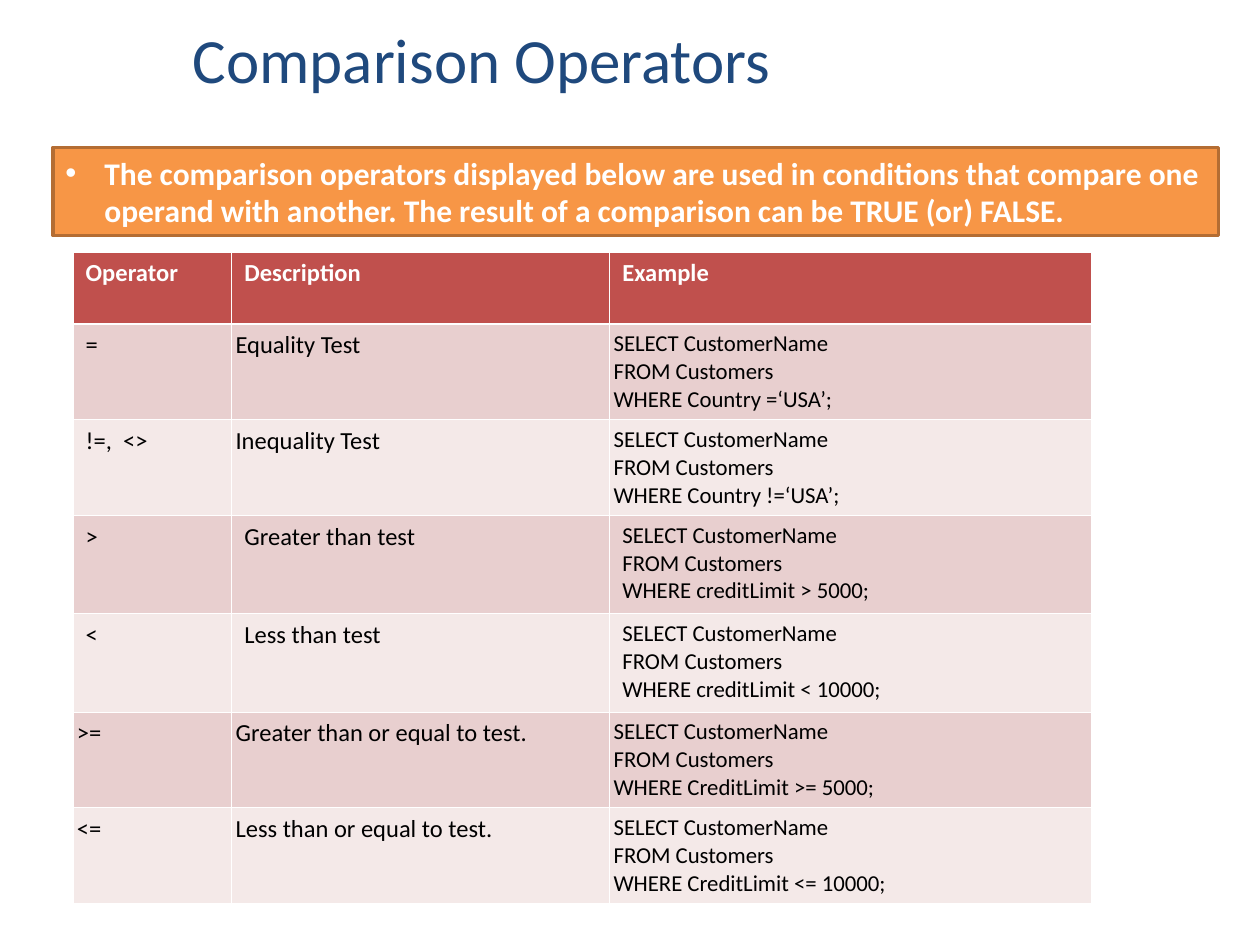
from lxml import etree
from pptx import Presentation
from pptx.dml.color import RGBColor
from pptx.enum.shapes import MSO_SHAPE
from pptx.enum.text import MSO_ANCHOR, PP_ALIGN
from pptx.oxml.ns import qn
from pptx.util import Inches, Pt

RECT = MSO_SHAPE.RECTANGLE
MIDDLE, TOP = MSO_ANCHOR.MIDDLE, MSO_ANCHOR.TOP
LEFT = PP_ALIGN.LEFT
FONT = "Calibri"
TITLE_ONLY = 5

NAVY = RGBColor(0x1F, 0x49, 0x7D)
ORANGE = RGBColor(0xF7, 0x96, 0x46)
BROWN = RGBColor(0xB4, 0x6D, 0x33)
RED = RGBColor(0xC0, 0x50, 0x4D)
ROSE = RGBColor(0xE8, 0xCF, 0xCF)
BLUSH = RGBColor(0xF4, 0xE9, 0xE8)
WHITE = RGBColor(0xFF, 0xFF, 0xFF)
BLACK = RGBColor(0, 0, 0)

WIDE, NARROW = Inches(0.1), Inches(0.03)
THIN, THICK = Pt(0.45), Pt(1.47)
COL_WIDTHS = (1.26, 3, 3.82)
ROW_HEIGHTS = (0.57, 0.74, 0.75, 0.78, 0.78, 0.75, 0.74)
HEADERS = ("Operator", "Description", "Example")
OPERATORS = (
    ("=", "Equality Test", "Country =‘USA’", WIDE, NARROW),
    ("!=,  <>", "Inequality Test", "Country !=‘USA’", WIDE, NARROW),
    (">", "Greater than test", "creditLimit > 5000", WIDE, WIDE),
    ("<", "Less than test", "creditLimit < 10000", WIDE, WIDE),
    (">=", "Greater than or equal to test.", "CreditLimit >= 5000", NARROW, NARROW),
    ("<=", "Less than or equal to test.", "CreditLimit <= 10000", NARROW, NARROW),
)


def add_run(p, text, size, color, bold=False):
    p.alignment = LEFT
    r = p.add_run()
    r.text = text
    r.font.name = FONT
    r.font.size = Pt(size)
    r.font.bold = bold
    r.font.color.rgb = color


def add_bullet(p, char, indent):
    pPr = p._p.get_or_add_pPr()
    pPr.set("marL", str(indent))
    pPr.set("indent", str(-indent))
    etree.SubElement(pPr, qn("a:buFont"), typeface="Arial")
    etree.SubElement(pPr, qn("a:buChar"), char=char)


def set_borders(cell, top, bottom):
    tcPr = cell._tc.get_or_add_tcPr()
    for side, width in (("L", THIN), ("R", THIN), ("T", top), ("B", bottom)):
        ln = etree.SubElement(tcPr, qn("a:ln" + side), w=str(width))
        fill = etree.SubElement(ln, qn("a:solidFill"))
        etree.SubElement(fill, qn("a:srgbClr"), val=str(WHITE))


def fill_cell(cell, lines, size, color, bold, fill, pad, top=THIN, bottom=THIN):
    set_borders(cell, top, bottom)
    cell.fill.solid()
    cell.fill.fore_color.rgb = fill
    cell.margin_left = cell.margin_right = pad
    cell.margin_top = cell.margin_bottom = Inches(0.05)
    cell.vertical_anchor = TOP
    tf = cell.text_frame
    for i, line in enumerate(lines):
        p = tf.add_paragraph() if i else tf.paragraphs[0]
        add_run(p, line, size, color, bold)


def place_title(s, left, top, width, height):
    sp = s.shapes.title
    sp.left, sp.top, sp.width, sp.height = left, top, width, height
    tf = sp.text_frame
    tf.vertical_anchor = MIDDLE
    add_run(tf.paragraphs[0], "Comparison Operators", 36, NAVY)


def place_banner(s, left, top, width, height):
    sp = s.shapes.add_shape(RECT, left, top, width, height)
    sp.shadow.inherit = False
    sp.fill.solid()
    sp.fill.fore_color.rgb = ORANGE
    sp.line.color.rgb = BROWN
    sp.line.width = Pt(2)
    tf = sp.text_frame
    tf.word_wrap = True
    tf.vertical_anchor = TOP
    p = tf.paragraphs[0]
    add_bullet(p, "•", Inches(0.31))
    add_run(p, "The comparison operators displayed below are used in conditions "
            "that compare one operand with another. The result of a comparison "
            "can be TRUE (or) FALSE.", 18, WHITE, True)


def place_operator_table(s, left, top, width, height):
    table = s.shapes.add_table(len(ROW_HEIGHTS), len(COL_WIDTHS),
                               left, top, width, height).table
    for col, w in zip(table.columns, COL_WIDTHS):
        col.width = Inches(w)
    for row, h in zip(table.rows, ROW_HEIGHTS):
        row.height = Inches(h)
    for c, header in enumerate(HEADERS):
        fill_cell(table.cell(0, c), [header], 14, WHITE, True, RED, WIDE,
                  bottom=THICK)
    for r, (operator, description, condition, op_pad, pad) in enumerate(OPERATORS, 1):
        query = ["SELECT CustomerName", "FROM Customers", f"WHERE {condition};"]
        cells = (([operator], 14, op_pad), ([description], 14, pad), (query, 13, pad))
        for c, (lines, size, cell_pad) in enumerate(cells):
            fill_cell(table.cell(r, c), lines, size, BLACK, False,
                      ROSE if r % 2 else BLUSH, cell_pad,
                      top=THICK if r == 1 else THIN)


def main():
    prs = Presentation()
    prs.slide_width, prs.slide_height = Inches(10), Inches(7.5)
    s = prs.slides.add_slide(prs.slide_layouts[TITLE_ONLY])
    place_banner(s, Inches(0.42), Inches(1.17), Inches(9.25), Inches(0.7))
    place_operator_table(s, Inches(0.58), Inches(2), Inches(8.08), Inches(5.12))
    place_title(s, Inches(1.43), Inches(0), Inches(8.57), Inches(0.92))
    prs.save("out.pptx")


if __name__ == "__main__":
    main()
